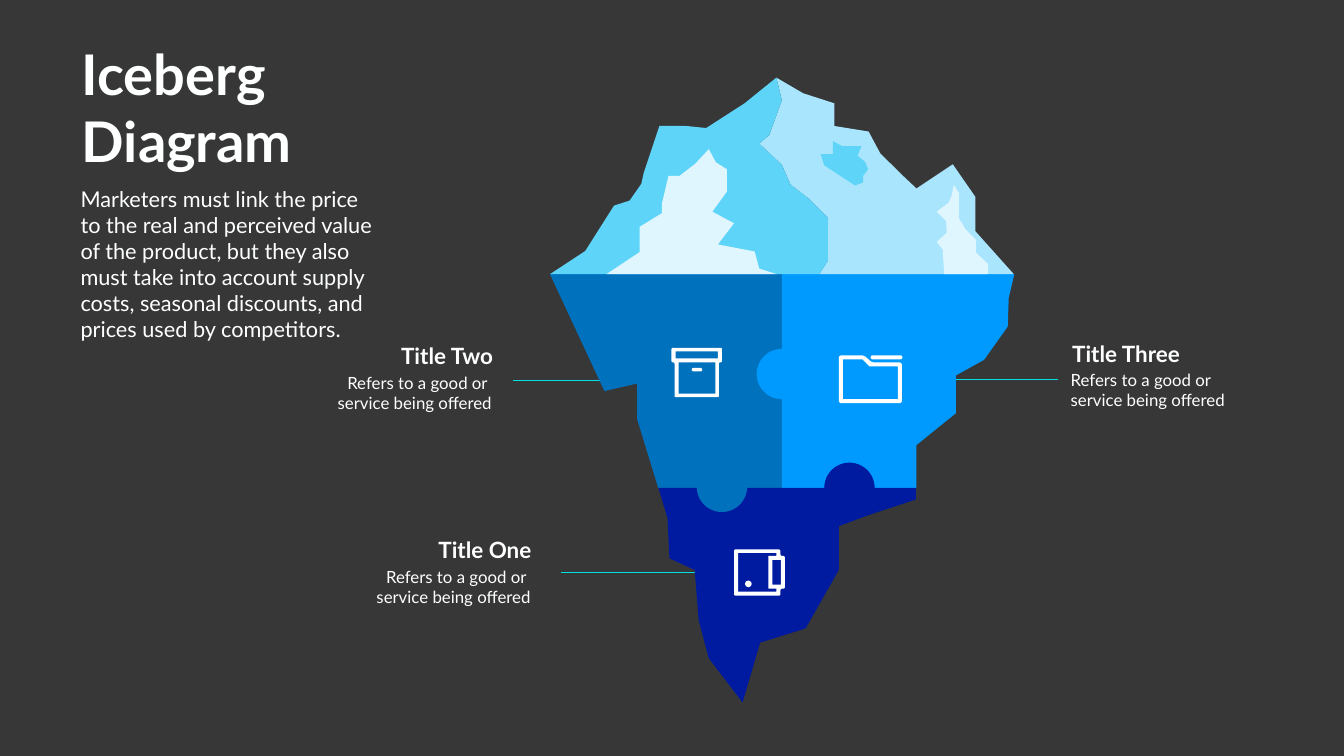
import math

import lxml.etree
import pptx
import pptx.dml.color
import pptx.enum.shapes
import pptx.enum.text
import pptx.oxml.ns
import pptx.util

Inches = pptx.util.Inches
SHAPE = pptx.enum.shapes.MSO_SHAPE
ALIGN = pptx.enum.text.PP_ALIGN

FONT = "Lato"
WHITE, BACKGROUND, TEXT, LEADER = "FFFFFF", "373737", "FEFFFF", "00DFE5"
SKY, PALE, FROST = "5ED4F8", "A9E5FD", "DFF6FE"
BLUE, BRIGHT, NAVY = "0071BD", "009AFF", "011BA0"
WATERLINE = 5.44
KNOB = 0.5  # radius of the puzzle knobs


def color(value):
    return pptx.dml.color.RGBColor.from_string(value)


def arc(cx, cy, start, end, steps=24):
    """Points on a knob, angles in degrees, clockwise from the right."""
    angles = [math.radians(start + (end - start) * i / steps) for i in range(steps + 1)]
    return [(cx + KNOB * math.cos(a), cy + KNOB * math.sin(a)) for a in angles]


def rectangle(left, top, right, bottom):
    return [(left, top), (right, top), (right, bottom), (left, bottom)]


def rounded(points, radius, steps=5):
    """Replace each corner of a polygon by a short curve."""
    result = []
    for i, (x, y) in enumerate(points):
        ends = []
        for nx, ny in (points[i - 1], points[(i + 1) % len(points)]):
            k = radius / math.hypot(nx - x, ny - y)
            ends.append((x + k * (nx - x), y + k * (ny - y)))
        (ax, ay), (bx, by) = ends
        for t in (j / steps for j in range(steps + 1)):
            u = 1 - t
            result.append((u * u * ax + 2 * u * t * x + t * t * bx,
                           u * u * ay + 2 * u * t * y + t * t * by))
    return result


def paint(sp, fill):
    sp.shadow.inherit = False
    sp.fill.solid()
    sp.fill.fore_color.rgb = color(fill)
    sp.line.fill.background()


def add_outline(s, fill, *contours):
    """Draw one filled shape; contours after the first are holes."""
    paths = [[(Inches(x), Inches(y)) for x, y in c] for c in contours]
    builder = s.shapes.build_freeform(*paths[0][0])
    builder.add_line_segments(paths[0][1:], close=True)
    for hole in paths[1:]:
        builder.move_to(*hole[0])
        builder.add_line_segments(hole[1:], close=True)
    paint(builder.convert_to_shape(), fill)


def add_detail(s, kind, left, top, width, height):
    sp = s.shapes.add_shape(kind, Inches(left), Inches(top), Inches(width), Inches(height))
    if kind == SHAPE.ROUNDED_RECTANGLE:
        sp.adjustments[0] = 0.5
    paint(sp, WHITE)


def add_leader(s, left, right, y):
    line = s.shapes.add_connector(pptx.enum.shapes.MSO_CONNECTOR.STRAIGHT,
                                  Inches(left), Inches(y), Inches(right), Inches(y))
    line.line.color.rgb = color(LEADER)
    line.line.width = pptx.util.Pt(1.45)
    lxml.etree.SubElement(line._element.spPr, pptx.oxml.ns.qn("a:effectLst"))


def write(sp, text, size, bold=False, align=ALIGN.LEFT, wrap=True):
    tf = sp.text_frame
    tf.text = text
    tf.word_wrap = wrap
    tf.auto_size = pptx.enum.text.MSO_AUTO_SIZE.NONE
    tf.vertical_anchor = pptx.enum.text.MSO_ANCHOR.TOP
    for p in tf.paragraphs:
        p.alignment = align
        for r in p.runs:
            r.font.name = FONT
            r.font.size = pptx.util.Pt(size)
            r.font.bold = bold
            r.font.color.rgb = color(TEXT)


def add_text(s, left, top, width, height, text, size, **style):
    sp = s.shapes.add_textbox(Inches(left), Inches(top), Inches(width), Inches(height))
    write(sp, text, size, **style)


def add_title(s):
    sp = s.shapes.title
    sp.left, sp.top, sp.width, sp.height = map(Inches, (1.52, 0.73, 4.46, 2.79))
    write(sp, "Iceberg\nDiagram", 80, bold=True, wrap=False)


def add_underwater(s):
    # Left and right puzzle pieces
    add_outline(s, BLUE, [
        (15.51, WATERLINE), (10.91, WATERLINE), (11.99, 7.76), (12.64, 7.61),
        (12.64, 8.32), (13.06, 9.69), *arc(14.32, 9.69, 180, 0), (15.51, 9.69)])
    add_outline(s, BRIGHT, [
        (15.51, WATERLINE), *arc(15.51, 7.42, 270, 90), (15.51, 9.69), (18.18, 9.69),
        (18.18, 8.83), (18.96, 8.2), (18.96, 7.45), (19.52, 7.14), (19.99, 6.48),
        (20.01, 5.91), (20.12, WATERLINE)])
    # Bottom piece, with the left knob over it
    add_outline(s, NAVY, [
        *arc(16.85, 9.68, 360, 180), (13.06, 9.68), (13.24, 10.28), (13.28, 11.08),
        (13.78, 11.31), (13.86, 12.31), (14.06, 13.06), (14.73, 13.94), (15.08, 12.75),
        (15.98, 12.47), (16.64, 11.31), (16.64, 10.44), (17.23, 10.22), (18.17, 9.91),
        (18.17, 9.68)])
    add_outline(s, BLUE, arc(14.32, 9.66, 0, 180))


def add_peaks(s):
    # The ridge is shared by both faces
    ridge = [(15.4, 1.54), (15.51, 1.99), (15.26, 2.68), (15.06, 2.85), (15.51, 3.27),
             (15.68, 3.66), (16.03, 3.93), (16.42, 4.32), (16.42, 5.18), (16.25, WATERLINE)]
    add_outline(s, PALE, ridge + [
        (20.11, WATERLINE), (19.35, 4.59), (19.35, 3.91), (18.9, 3.26), (18.18, 3.74),
        (17.85, 3.43), (17.46, 3.04), (17.23, 2.61), (16.55, 2.5), (16.55, 2.05),
        (15.93, 1.85)])
    add_outline(s, SKY, ridge + [
        (10.91, WATERLINE), (11.61, 4.98), (12.18, 4.08), (12.49, 3.98), (12.72, 3.65),
        (12.77, 3.43), (13.08, 2.5), (13.61, 2.5), (14.01, 2.54), (14.77, 2.05)])
    # Snow and shade patches
    add_outline(s, FROST, [
        (12.03, WATERLINE), (12.69, 5), (12.69, 4.5), (13.13, 4.23), (13.13, 4.04),
        (13.26, 3.49), (13.48, 3.49), (13.79, 3.25), (14.06, 2.96), (14.2, 3.22),
        (14.42, 3.36), (14.42, 3.8), (14.13, 4.2), (14.56, 4.43), (14.24, 4.85),
        (14.97, 4.99), (15.06, 5.33), (15.41, WATERLINE)])
    add_outline(s, SKY, [
        (16.96, 3.68), (17.12, 3.62), (17.12, 3.49), (17.22, 3.36), (17.16, 3.21),
        (17.01, 3.09), (17.09, 2.9), (16.71, 2.9), (16.52, 2.8), (16.52, 3.06),
        (16.28, 3.06), (16.35, 3.28)])
    add_outline(s, FROST, [
        (18.88, 3.87), (18.92, 3.67), (19.02, 3.82), (19.02, 4.33), (19.16, 4.56),
        (19.36, 4.76), (19.36, 5.01), (19.6, 5.24), (19.6, WATERLINE), (18.73, WATERLINE),
        (18.7, 4.95), (18.58, 4.8), (18.78, 4.62), (18.77, 4.39), (18.58, 4.2),
        (18.82, 4.02)])


def add_icons(s):
    # Wallet
    add_outline(s, WHITE, rounded([
        (14.56, 10.9), (15.48, 10.9), (15.48, 11.03), (15.57, 11.03), (15.57, 11.68),
        (15.48, 11.68), (15.48, 11.82), (14.56, 11.82)], 0.04),
        [(14.64, 10.97), (15.4, 10.97), (15.4, 11.03), (15.24, 11.03), (15.24, 11.68),
         (15.4, 11.68), (15.4, 11.74), (14.64, 11.74)],
        rectangle(15.32, 11.11, 15.49, 11.6))
    add_detail(s, SHAPE.OVAL, 14.78, 11.52, 0.13, 0.13)
    # Folder
    add_outline(s, WHITE, rounded([
        (16.64, 7.05), (17.14, 7.05), (17.29, 7.19), (17.89, 7.19), (17.89, 8),
        (16.64, 8)], 0.06),
        [(16.72, 7.13), (17.11, 7.13), (17.25, 7.27), (17.81, 7.27), (17.81, 7.92),
         (16.72, 7.92)])
    add_detail(s, SHAPE.ROUNDED_RECTANGLE, 17.27, 7.05, 0.63, 0.08)
    # Storage box
    add_outline(s, WHITE, rounded([
        (13.32, 6.9), (14.32, 6.9), (14.32, 7.19), (14.26, 7.19), (14.26, 7.88),
        (13.38, 7.88), (13.38, 7.19), (13.32, 7.19)], 0.03),
        rectangle(13.4, 6.97, 14.24, 7.11), rectangle(13.46, 7.19, 14.19, 7.81))
    add_detail(s, SHAPE.ROUNDED_RECTANGLE, 13.72, 7.3, 0.21, 0.07)


def add_label(s, heading, heading_at, body, body_at, align):
    add_text(s, *heading_at, 2.43, 0.64, heading, 32, bold=True, align=align)
    add_text(s, *body_at, 3.3, 0.91, body, 24, align=align)


def main():
    prs = pptx.Presentation()
    prs.slide_width, prs.slide_height = Inches(26.66), Inches(15)
    s = prs.slides.add_slide(prs.slide_layouts[5])
    s.background.fill.solid()
    s.background.fill.fore_color.rgb = color(BACKGROUND)

    # Leader lines run behind the iceberg
    for left, right, y in ((17.3, 20.99, 7.53), (11.13, 14.82, 11.36), (10.18, 13.86, 7.55)):
        add_leader(s, left, right, y)
    add_underwater(s)
    add_peaks(s)
    add_icons(s)

    # Title, introduction and labels
    add_title(s)
    add_text(s, 1.5, 3.63, 6.16, 3.23,
             "Marketers must link the price to the real and perceived value of the product, "
             "but they also must take into account supply costs, seasonal discounts, and "
             "prices used by competitors.", 31)
    right_body = "Refers to a good or \nservice being offered"
    left_body = "Refers to a good or\nservice being offered"
    add_label(s, "Title Two", (7.45, 6.73), right_body, (6.55, 7.35), ALIGN.RIGHT)
    add_label(s, "Title One", (8.21, 10.58), right_body, (7.32, 11.19), ALIGN.RIGHT)
    add_label(s, "Title Three", (21.17, 6.69), left_body, (21.14, 7.29), ALIGN.LEFT)

    prs.save("out.pptx")


if __name__ == "__main__":
    main()
